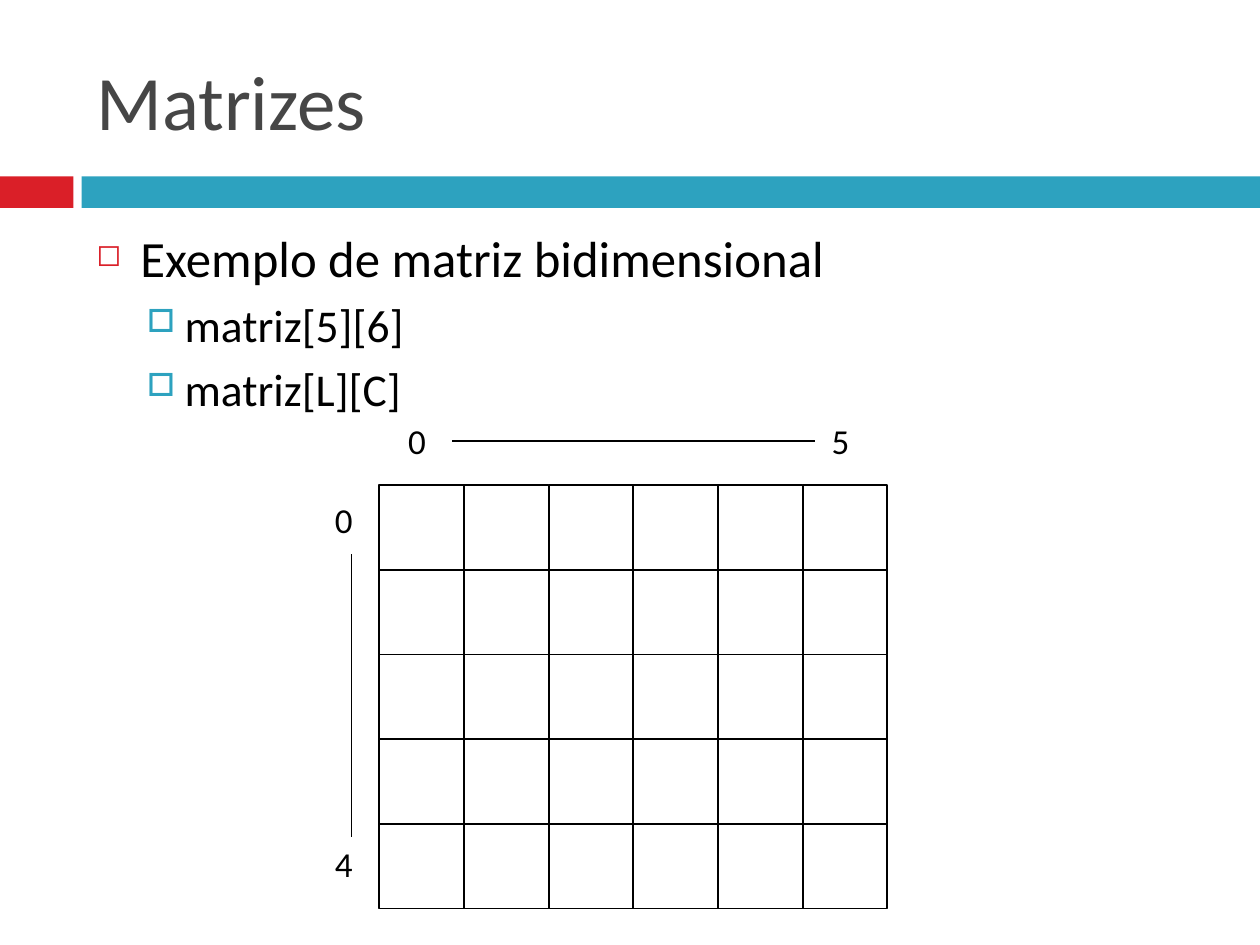
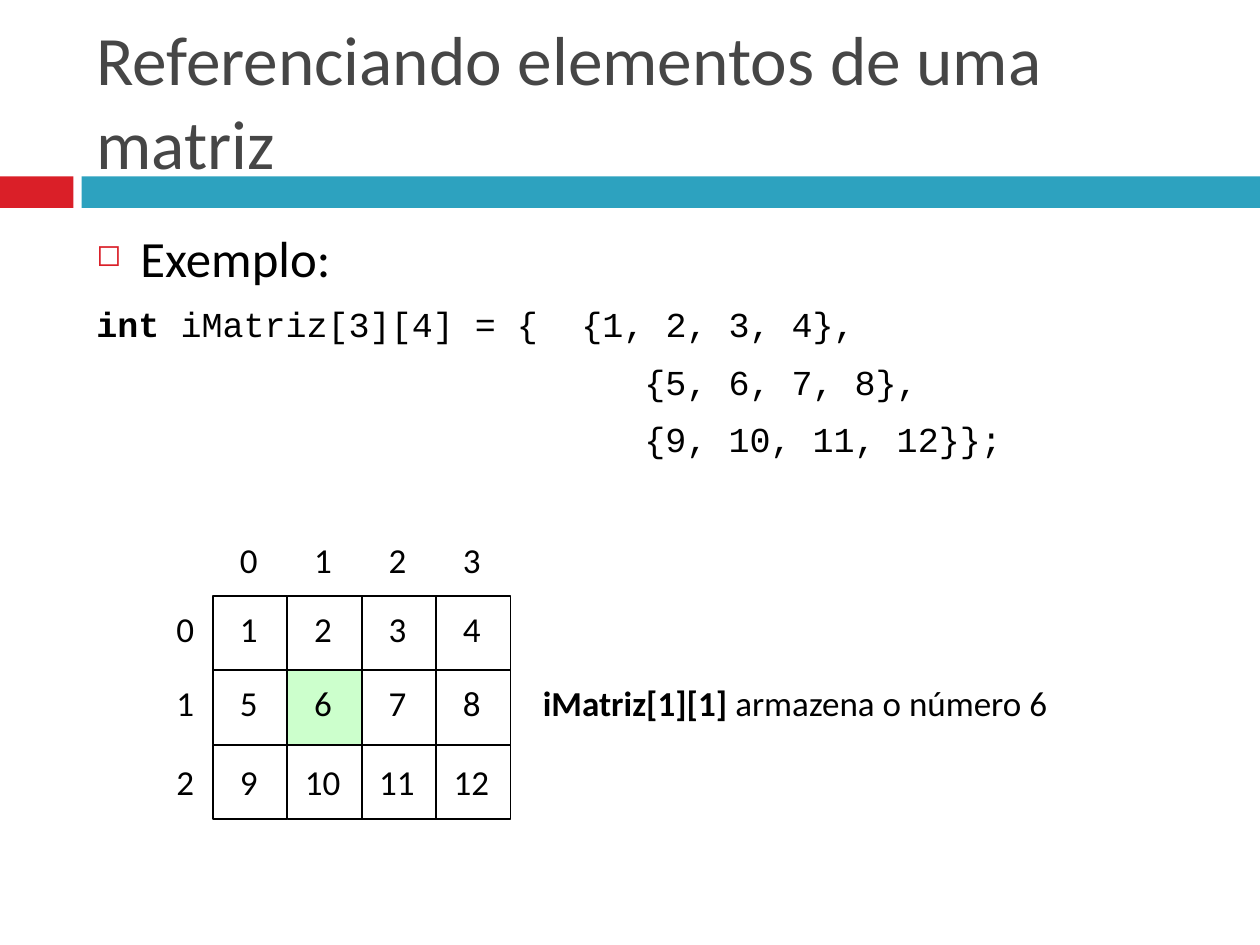
"""Build two slides about matrices and how their elements are referenced."""
import pptx
import pptx.dml.color
import pptx.enum.shapes
import pptx.enum.text
import pptx.oxml.ns
import pptx.util
from lxml import etree

Pt = pptx.util.Pt
RED, BLUE, GREY, BLACK, GREEN = "DA1F28", "2DA2BF", "464646", "000000", "CCFFCC"
LABEL = {"size": Pt(20), "name": "Calibri"}
CODE = {"size": Pt(20), "name": "Courier New"}
TOPIC = {"size": Pt(29), "name": "Calibri"}
DETAIL = {"size": Pt(26), "name": "Calibri"}
TOPIC_LAYOUT = {"margin": 25.2, "indent": -25.2, "before": 7, "bullet": ("◻", RED, 60)}
DETAIL_LAYOUT = {"margin": 50.4, "indent": -21.6, "before": 5.5, "level": 1,
                 "bullet": ("□", BLUE, 70)}
CODE_START = {"margin": 25.2, "indent": -25.2, "before": 8.75}
CODE_ROW = {"margin": 313.2, "indent": 0, "before": 8.75}


def paint(color_format, hex_color):
    """Set a font, fill or line colour from a hex string."""
    color_format.rgb = pptx.dml.color.RGBColor.from_string(hex_color)


def add_runs(paragraph, runs, style, color=BLACK):
    """Add (text, bold) runs that share one font style."""
    for text, bold in runs:
        run = paragraph.add_run()
        run.text = text
        for attribute, value in {**style, "bold": bold}.items():
            setattr(run.font, attribute, value)
        paint(run.font.color, color)


def add_box(slide, left, top, width, height, fill=None, line=None):
    """Add a rectangle with an optional fill and outline."""
    box = slide.shapes.add_shape(pptx.enum.shapes.MSO_SHAPE.RECTANGLE,
                                 Pt(left), Pt(top), Pt(width), Pt(height))
    box.shadow.inherit = False
    if fill:
        box.fill.solid()
        paint(box.fill.fore_color, fill)
    else:
        box.fill.background()
    if line:
        paint(box.line.color, line)
        box.line.width = Pt(1)
    else:
        box.line.fill.background()


def add_frame(slide, left, top, width, height, **settings):
    """Add a text box and return its text frame."""
    frame = slide.shapes.add_textbox(Pt(left), Pt(top), Pt(width), Pt(height)).text_frame
    for attribute, value in {"word_wrap": True, **settings}.items():
        setattr(frame, attribute, value)
    return frame


def add_label(slide, runs, left, top, width, height):
    """Add one unwrapped line of text that sizes its box."""
    frame = add_frame(slide, left, top, width, height, word_wrap=False,
                      auto_size=pptx.enum.text.MSO_AUTO_SIZE.SHAPE_TO_FIT_TEXT)
    add_runs(frame.paragraphs[0], runs, LABEL)


def add_number(slide, number, center, top, width, height):
    """Add a number in a box centred on a grid column."""
    add_label(slide, [(str(number), False)], center - width / 2, top, width, height)


def add_grid(slide, left, top, cell, rows, columns, highlight=None):
    """Draw a grid of square cells, one of which may be filled."""
    for row in range(rows):
        for column in range(columns):
            add_box(slide, left + column * cell, top + row * cell, cell, cell,
                    GREEN if (row, column) == highlight else None, BLACK)


def add_line(slide, x1, y1, x2, y2):
    """Draw a thin black line."""
    line = slide.shapes.add_connector(pptx.enum.shapes.MSO_CONNECTOR.STRAIGHT,
                                      Pt(x1), Pt(y1), Pt(x2), Pt(y2))
    paint(line.line.color, BLACK)
    line.line.width = Pt(0.75)
    etree.SubElement(line._element.spPr, pptx.oxml.ns.qn("a:effectLst"))


def set_layout(paragraph, margin, indent, before, level=0, bullet=None):
    """Set indents, spacing and an optional (sign, colour, percent) bullet."""
    paragraph.level = level
    paragraph.space_before = Pt(before)
    properties = paragraph._p.get_or_add_pPr()
    properties.set("marL", str(Pt(margin)))
    properties.set("indent", str(Pt(indent)))
    if bullet:
        sign, color, percent = bullet
        qn = pptx.oxml.ns.qn
        bullet_color = etree.SubElement(properties, qn("a:buClr"))
        etree.SubElement(bullet_color, qn("a:srgbClr"), val=color)
        etree.SubElement(properties, qn("a:buSzPct"), val=str(percent * 1000))
        etree.SubElement(properties, qn("a:buChar"), char=sign)


def add_body(slide, entries):
    """Fill the body with (runs, font style, layout) paragraphs."""
    frame = add_frame(slide, 48, 126, 657.6, 399)
    for index, (runs, style, layout) in enumerate(entries):
        paragraph = frame.add_paragraph() if index else frame.paragraphs[0]
        set_layout(paragraph, **layout)
        add_runs(paragraph, runs, style)


def start_slide(deck, title, size):
    """Add a slide with the two bands and a title."""
    slide = deck.slides.add_slide(deck.slide_layouts[6])
    add_box(slide, 0, 100.8, 42, 18, RED)
    add_box(slide, 46.6, 100.8, 673.4, 18, BLUE)
    frame = add_frame(slide, 48, 18, 657.6, 78,
                      vertical_anchor=pptx.enum.text.MSO_ANCHOR.MIDDLE)
    add_runs(frame.paragraphs[0], [(title, False)],
             {"size": Pt(size), "name": "Calibri"}, GREY)
    return slide


def build_dimensions(deck):
    """Show an empty matrix with its index ranges."""
    slide = start_slide(deck, "Matrizes", 44)
    add_body(slide, [
        ([("Exemplo de matriz bidimensional", False)], TOPIC, TOPIC_LAYOUT),
        ([("matriz[5][6]", False)], DETAIL, DETAIL_LAYOUT),
        ([("matriz[L][C]", False)], DETAIL, DETAIL_LAYOUT),
    ])
    left, top, cell, rows, columns = 216.7, 277.2, 48.4, 5, 6
    add_grid(slide, left, top, cell, rows, columns)
    for column in (0, columns - 1):
        add_number(slide, column, left + (column + 0.5) * cell, 236.2, 29.5, 35.3)
    for row, label_top in ((0, 281.5), (rows - 1, 478.1)):
        add_number(slide, row, 199.1, label_top, 29.5, 35.3)
    add_line(slide, 200.9, 316.8, 200.9, 478.1)
    add_line(slide, 258.5, 252, 465.8, 252)


def build_reference(deck):
    """Show a filled matrix and point out one element."""
    slide = start_slide(deck, "Referenciando elementos de uma matriz", 39.6)
    add_body(slide, [
        ([("Exemplo:", False)], TOPIC, TOPIC_LAYOUT),
        ([("int", True), (" iMatriz[3][4] = {\t{1, 2, 3, 4},", False)], CODE, CODE_START),
        ([("{5, 6, 7, 8},", False)], CODE, CODE_ROW),
        ([("{9, 10, 11, 12}};", False)], CODE, CODE_ROW),
    ])
    left, cell, columns, height = 121.7, 42.5, 4, 31
    number_tops = (343.6, 385.9, 431.3)
    centers = [left + (column + 0.5) * cell for column in range(columns)]
    add_grid(slide, left, 340.5, cell, len(number_tops), columns, (1, 1))
    for column, center in enumerate(centers):
        add_number(slide, column, center, 304.3, 25.9, height)
    for row, top in enumerate(number_tops):
        add_number(slide, row, 106.6, top, 25.9, height)
        for column, center in enumerate(centers):
            value = row * columns + column + 1
            add_number(slide, value, center, top, 25.9 if value < 10 else 36.7, height)
    add_label(slide, [("iMatriz[1][1]", True), (" armazena o número 6", False)],
              303.1, number_tops[1], 327.6, height)


def main():
    """Build and save the presentation."""
    deck = pptx.Presentation()
    deck.slide_width, deck.slide_height = Pt(720), Pt(540)
    build_dimensions(deck)
    build_reference(deck)
    deck.save("out.pptx")


if __name__ == "__main__":
    main()
